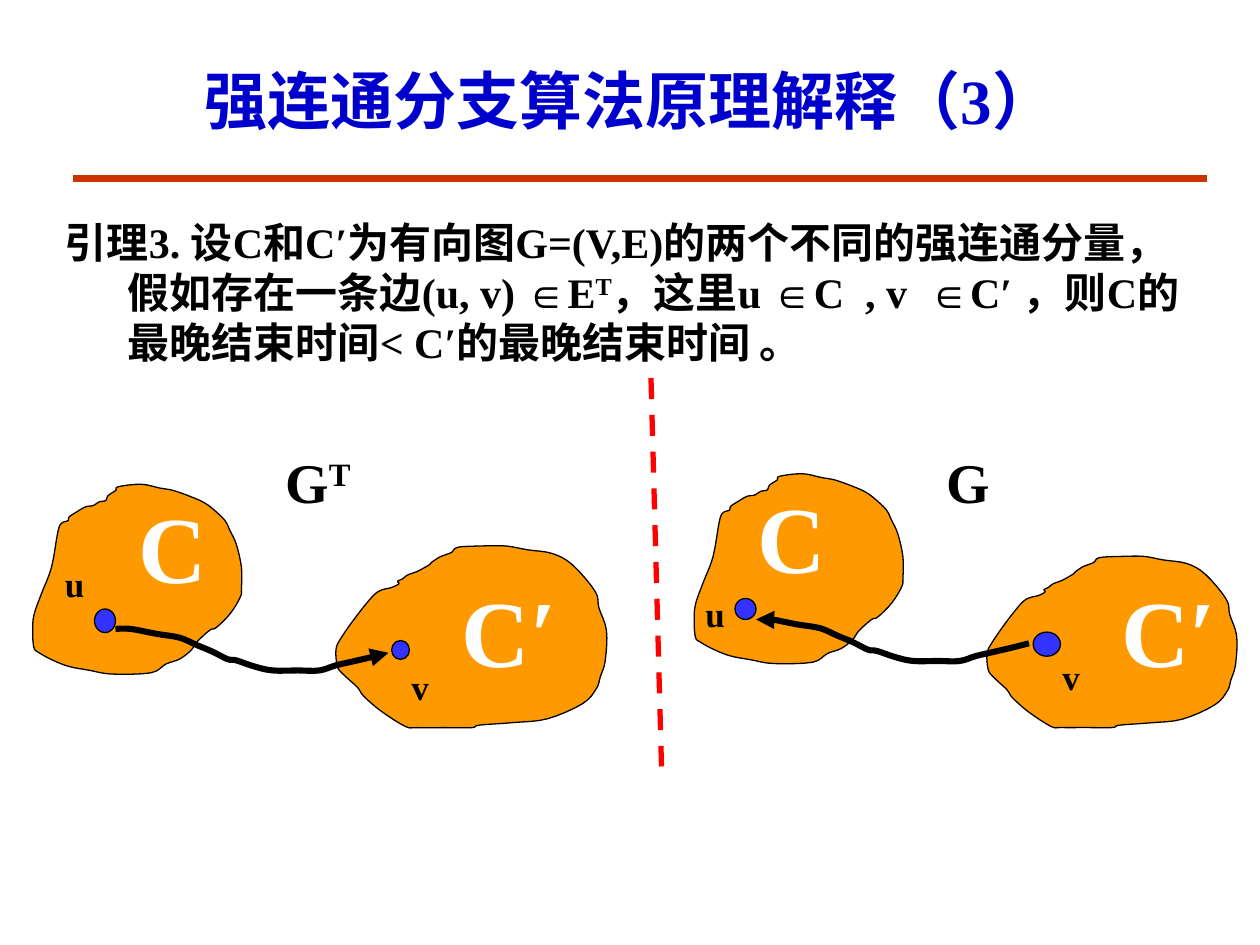
from dataclasses import dataclass
from typing import NamedTuple

from lxml.etree import SubElement
from pptx import Presentation
from pptx.dml.color import RGBColor
from pptx.enum.dml import MSO_LINE
from pptx.enum.shapes import MSO_CONNECTOR, MSO_SHAPE
from pptx.enum.text import MSO_ANCHOR, PP_ALIGN
from pptx.oxml.ns import qn
from pptx.util import Inches, Pt

COLS, ROWS = 120, 90
UNIT = Inches(10) // COLS


@dataclass(frozen=True)
class Theme:
    font: str = "Times New Roman"
    title: str = "0000CC"
    rule: str = "CC3300"
    ink: str = "000000"
    cloud: str = "FF9900"
    label: str = "FFFFFF"
    dot: str = "3333FF"
    split: str = "FF0000"
    title_size: int = 36
    body_size: int = 24
    cloud_size: int = 54
    graph_size: int = 32
    node_size: int = 20


class Box(NamedTuple):
    """Left, top, width and height in grid units."""
    x: float
    y: float
    w: float
    h: float


class Curve(NamedTuple):
    """Knots in hundredths of an inch, drawn at a nominal size."""
    w: float
    h: float
    knots: list[tuple[float, float]]
    closed: bool


@dataclass(frozen=True)
class Panel:
    name: str
    power: str
    name_box: Box
    clouds: tuple[Box, Box]
    labels: tuple[Box, Box]
    nodes: tuple[Box, Box]
    tags: tuple[Box, Box]
    edge: Box
    head: str


THEME = Theme()

ROUND = Curve(167, 152, [
    (21, 39), (16, 67), (8, 88), (2, 105), (1, 118), (2, 131), (6, 135), (17, 141),
    (30, 146), (46, 149), (64, 152), (95, 151), (107, 144), (118, 140), (127, 133),
    (132, 126), (142, 117), (147, 115), (158, 104), (166, 91), (167, 84), (167, 67),
    (163, 49), (158, 38), (154, 30), (147, 23), (138, 16), (127, 11), (113, 6),
    (102, 4), (87, 1), (69, 3), (67, 6), (61, 10), (59, 14), (54, 15), (49, 18),
    (43, 19), (36, 23), (30, 27), (29, 30), (24, 32)], True)
WIDE = Curve(217, 144, [
    (44, 33), (36, 35), (29, 40), (16, 56), (4, 73), (0, 82), (1, 95), (5, 101),
    (17, 112), (22, 119), (36, 131), (55, 143), (64, 144), (86, 144), (108, 144),
    (114, 142), (141, 140), (168, 137), (196, 125), (207, 113), (210, 104), (214, 91),
    (215, 67), (209, 49), (206, 36), (188, 15), (172, 6), (152, 3), (135, 0),
    (116, 0), (97, 1), (92, 5), (87, 7), (82, 9), (76, 13), (74, 15), (65, 20),
    (57, 23), (53, 26), (49, 28), (50, 30)], True)
BEND = Curve(217, 35, [
    (0, 0), (12, 0), (33, 4), (51, 7), (65, 13), (77, 18), (89, 24), (96, 25),
    (111, 30), (125, 33), (145, 33), (162, 33), (175, 29), (188, 26), (201, 23),
    (209, 21), (217, 19)], False)

PANELS = [
    Panel("G", "T", Box(26, 42, 11, 7.7),
          (Box(3, 46, 20, 18.2), Box(32, 52, 26, 17.3)),
          (Box(12, 46, 5, 12.1), Box(41, 54, 15, 12.1)),
          (Box(9, 58, 2, 2.25), Box(37.3, 61, 1.7, 1.8)),
          (Box(5, 53, 5, 5.3), Box(38, 62.8, 7, 5.3)),
          Box(11, 59.9, 26, 4.2), "a:tailEnd"),
    Panel("G", "", Box(89, 42, 11, 7.7),
          (Box(66, 45, 20, 18.2), Box(94, 53, 24, 16.3)),
          (Box(71, 45, 5, 12.1), Box(105, 54, 12.6, 12.1)),
          (Box(70, 57, 2, 2), Box(98.4, 60.2, 2.6, 2.3)),
          (Box(66, 55.8, 5, 5.3), Box(100, 61.8, 7, 5.3)),
          Box(72, 59, 26, 4.2), "a:headEnd"),
]


def rgb(code: str) -> RGBColor:
    return RGBColor.from_string(code)


def span(*units: float) -> list[int]:
    """Turn grid units into slide lengths."""
    return [round(n * UNIT) for n in units]


def stroke(line, color: str, width: float) -> None:
    line.color.rgb = rgb(color)
    line.width = Pt(width)


def write(slide, box: Box, parts: list[str], size: int, color: str,
          align=PP_ALIGN.LEFT, anchor=MSO_ANCHOR.TOP):
    """Add a text box in which every second part is superscript."""
    frame = slide.shapes.add_textbox(*span(*box)).text_frame
    frame.word_wrap = True
    frame.vertical_anchor = anchor
    para = frame.paragraphs[0]
    para.alignment = align
    for i, part in enumerate(parts):
        run = para.add_run()
        run.text = part
        if i % 2:
            run.font._element.set("baseline", "30000")
    font = para.font
    font.name, font.size, font.bold = THEME.font, Pt(size), True
    font.color.rgb = rgb(color)
    return para


def smooth(curve: Curve, steps: int = 4) -> list[tuple[float, float]]:
    """Run a Catmull-Rom spline through the knots."""
    knots = curve.knots
    if curve.closed:
        ring = [knots[-1], *knots, *knots[:2]]
    else:
        ring = [knots[0], *knots, knots[-1]]
    dots = []
    for quad in zip(ring, ring[1:], ring[2:], ring[3:]):
        for step in range(steps):
            t = step / steps
            dots.append(tuple(
                b + t * (c - a) / 2 + t * t * (2 * a - 5 * b + 4 * c - d) / 2
                + t ** 3 * (3 * b - a - 3 * c + d) / 2
                for a, b, c, d in zip(*quad)))
    return dots if curve.closed else dots + [knots[-1]]


def trace(slide, curve: Curve, box: Box):
    """Draw a curve stretched to the box."""
    dots = [tuple(span(box.x + x * box.w / curve.w, box.y + y * box.h / curve.h))
            for x, y in smooth(curve)]
    pen = slide.shapes.build_freeform(*dots[0])
    pen.add_line_segments(dots[1:], close=curve.closed)
    shape = pen.convert_to_shape()
    shape.shadow.inherit = False
    return shape


def paint(shape, color: str) -> None:
    shape.fill.solid()
    shape.fill.fore_color.rgb = rgb(color)
    stroke(shape.line, THEME.ink, 0.75)


def rule(slide, ends: tuple[float, ...], color: str, width: float):
    line = slide.shapes.add_connector(MSO_CONNECTOR.STRAIGHT, *span(*ends))
    stroke(line.line, color, width)
    SubElement(line._element.spPr, qn("a:effectLst"))
    return line


def draw(slide, panel: Panel) -> None:
    for curve, box in zip((ROUND, WIDE), panel.clouds):
        paint(trace(slide, curve, box), THEME.cloud)
    for text, box in zip(("C", "C′"), panel.labels):
        write(slide, box, [text], THEME.cloud_size, THEME.label, PP_ALIGN.CENTER)
    for text, tag, node in zip("uv", panel.tags, panel.nodes):
        dot = slide.shapes.add_shape(MSO_SHAPE.OVAL, *span(*node))
        dot.shadow.inherit = False
        paint(dot, THEME.dot)
        write(slide, tag, [text], THEME.node_size, THEME.ink)
    edge = trace(slide, BEND, panel.edge)
    edge.fill.background()
    stroke(edge.line, THEME.ink, 3.5)
    SubElement(edge.line._get_or_add_ln(), qn(panel.head), type="triangle")
    parts = [panel.name, panel.power] if panel.power else [panel.name]
    write(slide, panel.name_box, parts, THEME.graph_size, THEME.ink)


def main() -> None:
    deck = Presentation()
    deck.slide_width, deck.slide_height = span(COLS, ROWS)
    slide = deck.slides.add_slide(deck.slide_layouts[6])
    rule(slide, (7, 17, 115, 17), THEME.rule, 4.5)
    write(slide, Box(9, 3, 102, 13), ["强连通分支算法原理解释（3）"],
          THEME.title_size, THEME.title, PP_ALIGN.CENTER, MSO_ANCHOR.MIDDLE)
    lemma = write(slide, Box(5, 20, 109, 61), [
        "引理3. 设C和C′为有向图G=(V,E)的两个不同的强连通分量，假如存在一条边(u, v) ∈E",
        "T",
        "，这里u ∈C  , v  ∈C′ ，则C的最晚结束时间< C′的最晚结束时间 。",
    ], THEME.body_size, THEME.ink)
    props = lemma._p.get_or_add_pPr()
    props.set("marL", str(Inches(0.5)))
    props.set("indent", str(-Inches(0.5)))
    for panel in PANELS:
        draw(slide, panel)
    split = rule(slide, (62, 36, 63, 73), THEME.split, 3)
    split.line.dash_style = MSO_LINE.DASH
    deck.save("out.pptx")


if __name__ == "__main__":
    main()
